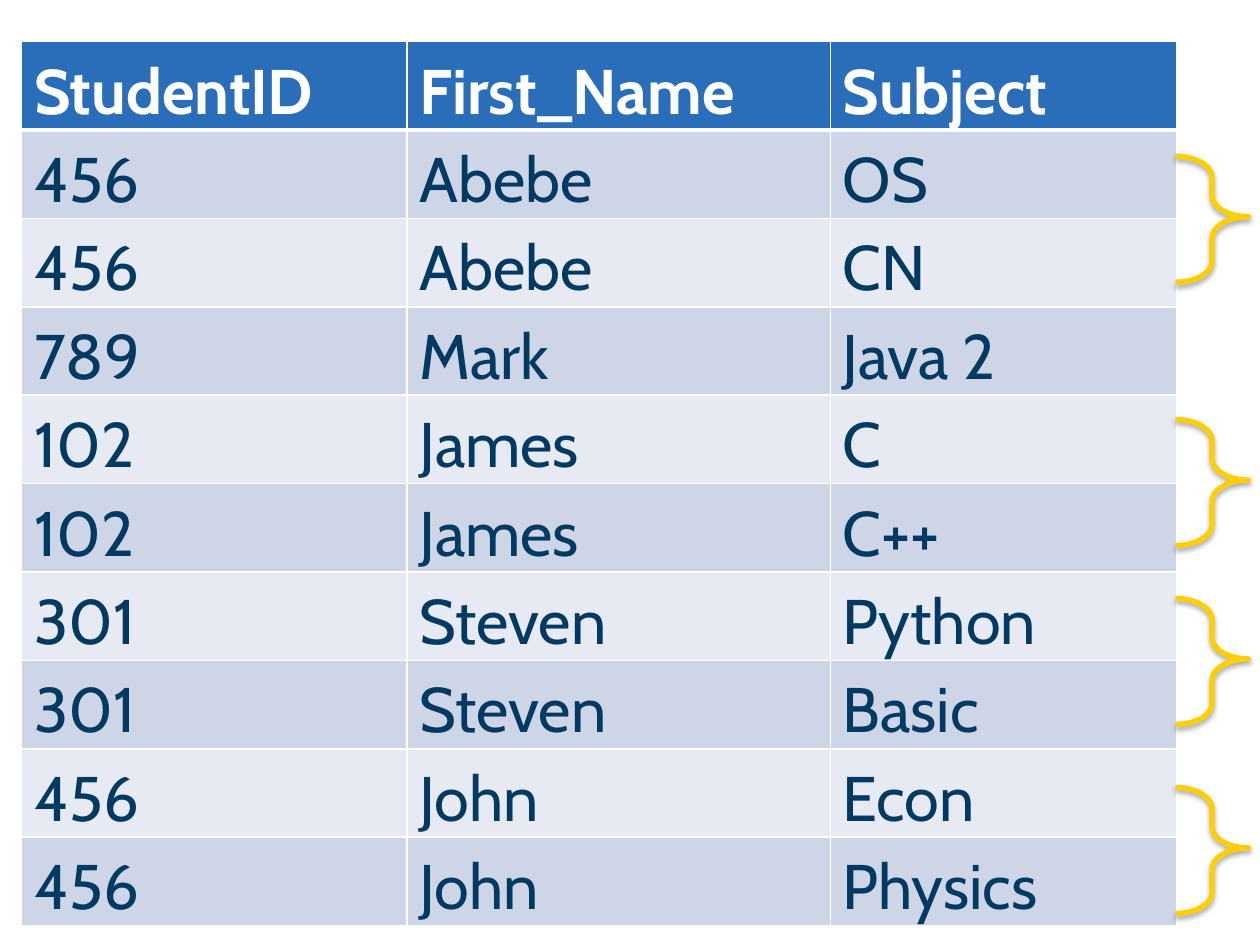
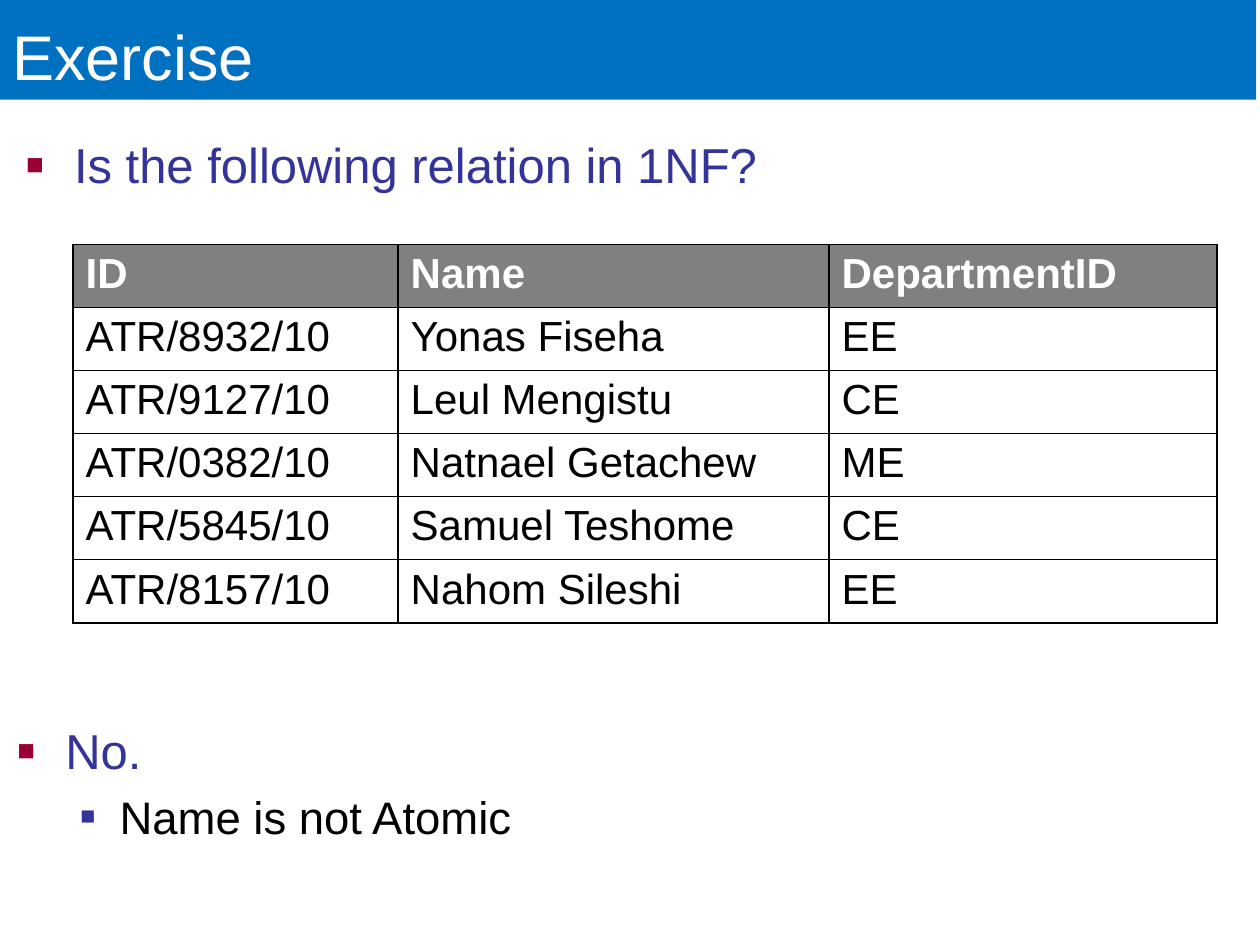
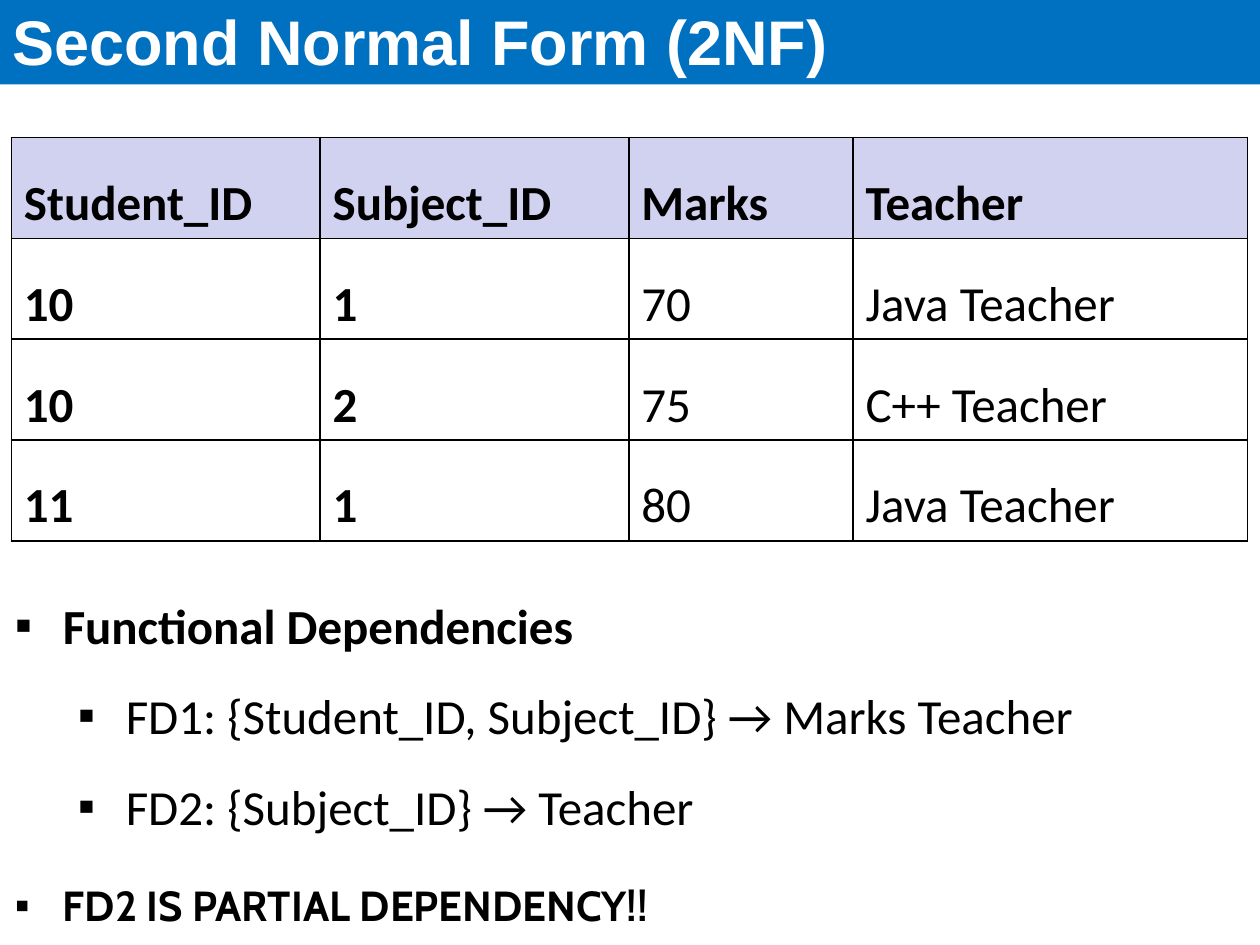
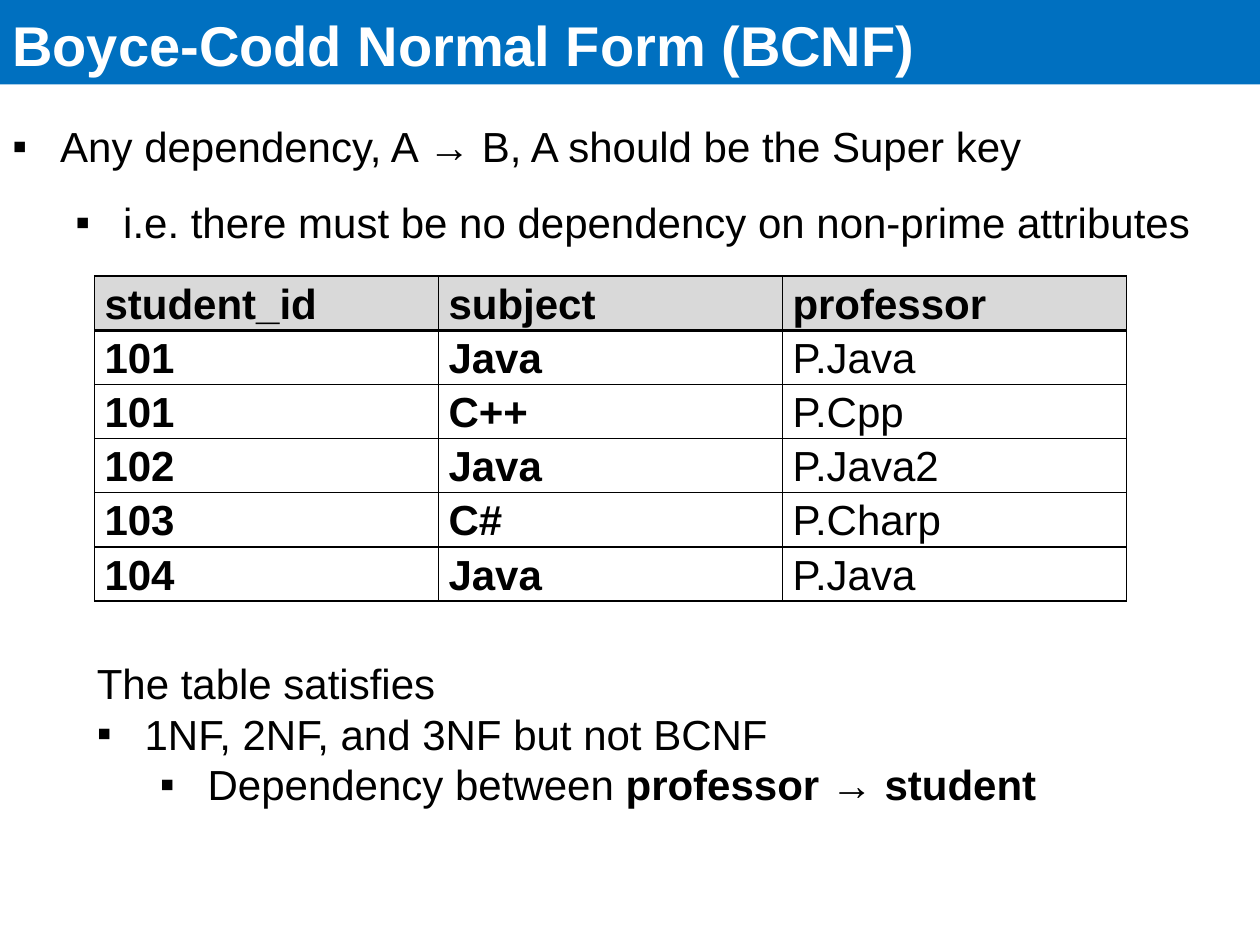
from dataclasses import dataclass

from lxml import etree
from pptx import Presentation
from pptx.dml.color import RGBColor
from pptx.enum.shapes import MSO_SHAPE
from pptx.enum.text import MSO_ANCHOR
from pptx.oxml import parse_xml
from pptx.oxml.ns import nsdecls, qn
from pptx.util import Inches, Pt

WHITE = RGBColor(0xFF, 0xFF, 0xFF)
BLACK = RGBColor(0x00, 0x00, 0x00)
BAND_BLUE = RGBColor(0x00, 0x70, 0xC0)
HEADER_BLUE = RGBColor(0x2A, 0x6E, 0xBA)
NAVY = RGBColor(0x00, 0x3A, 0x63)
STRIPE_DARK = RGBColor(0xCD, 0xD5, 0xE7)
STRIPE_LIGHT = RGBColor(0xE8, 0xEA, 0xF3)
YELLOW = RGBColor(0xFF, 0xCF, 0x01)
GRAY = RGBColor(0x80, 0x80, 0x80)
LIGHT_GRAY = RGBColor(0xD9, 0xD9, 0xD9)
LAVENDER = RGBColor(0xD1, 0xD1, 0xF0)
INDIGO = RGBColor(0x33, 0x33, 0x99)
CRIMSON = RGBColor(0x99, 0x00, 0x33)


@dataclass
class TableStyle:
    font: str
    size: int
    header_fill: RGBColor
    header_color: RGBColor = BLACK
    body_color: RGBColor = BLACK
    stripes: tuple = (None,)
    border: RGBColor = BLACK
    header_rule: float = 1
    key_columns: int = 0
    line_spacing: float = 1.0
    insets: tuple = (0.1, 0.05, 0.1, 0.05)
    anchor: MSO_ANCHOR = MSO_ANCHOR.TOP


@dataclass
class Bullet:
    char: str = "▪"
    color: RGBColor = BLACK
    percent: int = 100
    indent: float = 0.38
    hang: float = 0.38
    level: int = 0


ANSWER = Bullet("■", CRIMSON, 60)
REASON = Bullet("■", INDIGO, 55, 0.81, 0.31, 1)
POINT = Bullet()
SUBPOINT = Bullet(indent=0.88, level=1)


def set_font(paragraph, name, size, color, bold=False):
    font = paragraph.font
    font.name, font.size, font.bold = name, Pt(size), bold
    font.color.rgb = color


def set_insets(target, insets):
    (target.margin_left, target.margin_top,
     target.margin_right, target.margin_bottom) = map(Inches, insets)


def add_bullet(paragraph, bullet):
    paragraph.level = bullet.level
    properties = paragraph._p.get_or_add_pPr()
    properties.set("marL", str(Inches(bullet.indent)))
    properties.set("indent", str(-Inches(bullet.hang)))
    color = etree.SubElement(properties, qn("a:buClr"))
    etree.SubElement(color, qn("a:srgbClr"), val=str(bullet.color))
    etree.SubElement(properties, qn("a:buSzPct"), val=str(bullet.percent * 1000))
    etree.SubElement(properties, qn("a:buFont"), typeface="Arial")
    etree.SubElement(properties, qn("a:buChar"), char=bullet.char)


def add_title(slide, text, size=36, bold=True, width=10, height=0.67):
    band = slide.shapes.add_shape(MSO_SHAPE.RECTANGLE, 0, 0, Inches(width), Inches(height))
    band.shadow.inherit = False
    band.fill.solid()
    band.fill.fore_color.rgb = BAND_BLUE
    band.line.fill.background()
    frame = band.text_frame
    frame.word_wrap = True
    frame.vertical_anchor = MSO_ANCHOR.BOTTOM
    title = frame.paragraphs[0]
    title.text = text
    title.alignment = 1
    set_font(title, "Arial", size, WHITE, bold)


def add_text(slide, box, insets=(0.1, 0.05, 0.1, 0.05)):
    """Add an empty wrapping text box and return its frame."""
    frame = slide.shapes.add_textbox(*map(Inches, box)).text_frame
    frame.word_wrap = True
    set_insets(frame, insets)
    return frame


def add_line(frame, text, font, size, color=BLACK, bold=False, bullet=None,
             spacing=1.0, before=0, after=0):
    """Write the next paragraph of the frame, reusing its empty first one."""
    first = frame.paragraphs[0]
    line = frame.add_paragraph() if first.runs else first
    line.add_run().text = text
    line.line_spacing = spacing
    line.space_before, line.space_after = Pt(before), Pt(after)
    if bullet:
        add_bullet(line, bullet)
    set_font(line, font, size, color, bold)
    return line


def set_borders(cell, color, top, bottom):
    properties = cell._tc.get_or_add_tcPr()
    for side, width in (("L", 1), ("R", 1), ("T", top), ("B", bottom)):
        properties.append(parse_xml(
            f'<a:ln{side} {nsdecls("a")} w="{Pt(width)}"><a:solidFill>'
            f'<a:srgbClr val="{color}"/></a:solidFill></a:ln{side}>'))


def fill_cell(cell, text, row, column, style):
    header = row == 0
    set_borders(cell, style.border,
                top=style.header_rule if row == 1 else 1,
                bottom=style.header_rule if header else 1)
    fill = style.header_fill if header else style.stripes[(row - 1) % len(style.stripes)]
    if fill is None:
        cell.fill.background()
    else:
        cell.fill.solid()
        cell.fill.fore_color.rgb = fill
    set_insets(cell, style.insets)
    cell.vertical_anchor = style.anchor
    paragraph = cell.text_frame.paragraphs[0]
    paragraph.text = text
    paragraph.line_spacing = style.line_spacing
    set_font(paragraph, style.font, style.size,
             style.header_color if header else style.body_color,
             header or column < style.key_columns)


def add_grid(slide, left, top, widths, row_height, records, style):
    table = slide.shapes.add_table(
        len(records), len(widths), Inches(left), Inches(top),
        Inches(sum(widths)), Inches(row_height * len(records))).table
    table.first_row = table.horz_banding = False
    for column, width in zip(table.columns, widths):
        column.width = Inches(width)
    for r, record in enumerate(records):
        table.rows[r].height = Inches(row_height)
        for c, text in enumerate(record):
            fill_cell(table.cell(r, c), text, r, c, style)


def add_brace(slide, left, top):
    """Mark two rows that belong to the same student."""
    brace = slide.shapes.add_shape(MSO_SHAPE.RIGHT_BRACE, Inches(left), Inches(top),
                                   Inches(0.58), Inches(1))
    brace.adjustments[0], brace.adjustments[1] = 0.29, 0.48
    brace.fill.background()
    brace.line.color.rgb = YELLOW
    brace.line.width = Pt(3)
    brace.shadow.inherit = False
    effects = brace._element.spPr.find(qn("a:effectLst"))
    effects.append(parse_xml(
        f'<a:outerShdw {nsdecls("a")} blurRad="{Pt(3.1)}" dist="{Pt(1.8)}" dir="5400000" '
        'rotWithShape="0"><a:srgbClr val="000000"><a:alpha val="35000"/></a:srgbClr>'
        '</a:outerShdw>'))


def build_subjects(slide):
    records = [
        ("StudentID", "First_Name", "Subject"),
        ("456", "Abebe", "OS"),
        ("456", "Abebe", "CN"),
        ("789", "Mark", "Java 2"),
        ("102", "James", "C"),
        ("102", "James", "C++"),
        ("301", "Steven", "Python"),
        ("301", "Steven", "Basic"),
        ("456", "John", "Econ"),
        ("456", "John", "Physics"),
    ]
    style = TableStyle("Cabin", 36, HEADER_BLUE, WHITE, NAVY, (STRIPE_DARK, STRIPE_LIGHT),
                       border=WHITE, header_rule=3, line_spacing=1.07,
                       insets=(0.1, 0.05, 0.08, 0))
    add_grid(slide, 0.17, 0.33, (3.06, 3.36, 2.75), 0.7, records, style)
    for top in (1.24, 3.33, 4.75, 6.25):
        add_brace(slide, 9.33, top)


def build_exercise(slide):
    add_title(slide, "Exercise", bold=False, width=9.97, height=0.79)
    insets = (0.1, 0.05, 0, 0.05)
    question = add_text(slide, (0.11, 1.02, 9.89, 0.58), insets)
    add_line(question, "Is the following relation in 1NF?", "Arial", 28, INDIGO, bullet=ANSWER)
    records = [
        ("ID", "Name", "DepartmentID"),
        ("ATR/8932/10", "Yonas Fiseha", "EE"),
        ("ATR/9127/10", "Leul Mengistu", "CE"),
        ("ATR/0382/10", "Natnael Getachew", "ME"),
        ("ATR/5845/10", "Samuel Teshome", "CE"),
        ("ATR/8157/10", "Nahom Sileshi", "EE"),
    ]
    add_grid(slide, 0.58, 1.94, (2.58, 3.42, 3.08), 0.47, records,
             TableStyle("Arial", 24, GRAY, WHITE))
    answer = add_text(slide, (0.04, 5.67, 9.89, 1.32), insets)
    add_line(answer, "No.", "Arial", 28, INDIGO, bullet=ANSWER)
    add_line(answer, "Name is not Atomic", "Arial", 26, bullet=REASON, before=5.2)


def build_second_form(slide):
    add_title(slide, "Second Normal Form (2NF)")
    records = [
        ("Student_ID", "Subject_ID", "Marks", "Teacher"),
        ("10", "1", "70", "Java Teacher"),
        ("10", "2", "75", "C++ Teacher"),
        ("11", "1", "80", "Java Teacher"),
    ]
    add_grid(slide, 0.09, 1.09, (2.45, 2.45, 1.78, 3.13), 0.8, records,
             TableStyle("Calibri", 28, LAVENDER, key_columns=2, line_spacing=1.5))
    dependencies = add_text(slide, (0.02, 4.44, 10, 2.17))
    for text, bullet in (
        ("Functional Dependencies", POINT),
        ("FD1: {Student_ID, Subject_ID} → Marks Teacher", SUBPOINT),
        ("FD2: {Subject_ID} → Teacher", SUBPOINT),
    ):
        add_line(dependencies, text, "Calibri", 28, bold=bullet is POINT,
                 bullet=bullet, spacing=1.5, after=1.3)
    conclusion = add_text(slide, (0.02, 6.92, 10, 0.52))
    add_line(conclusion, "FD2 IS PARTIAL DEPENDENCY!!", "Cabin", 24, bold=True,
             bullet=POINT, spacing=1.03, after=1.3)


def build_boyce_codd(slide):
    add_title(slide, "Boyce-Codd Normal Form (BCNF)", size=32)
    rule = add_text(slide, (0, 0.71, 9.93, 1.24))
    add_line(rule, "Any dependency, A → B, A should be the Super key", "Arial", 24,
             bullet=POINT, spacing=1.5)
    add_line(rule, "i.e. there must be no dependency on non-prime attributes", "Arial", 24,
             bullet=SUBPOINT, spacing=1.5)
    records = [
        ("student_id", "subject", "professor"),
        ("101", "Java", "P.Java"),
        ("101", "C++", "P.Cpp"),
        ("102", "Java", "P.Java2"),
        ("103", "C#", "P.Charp"),
        ("104", "Java", "P.Java"),
    ]
    style = TableStyle("Arial", 24, LIGHT_GRAY, header_rule=2, key_columns=2,
                       line_spacing=1.07, insets=(0.08, 0, 0.08, 0),
                       anchor=MSO_ANCHOR.MIDDLE)
    add_grid(slide, 0.75, 2.19, (2.73,) * 3, 0.43, records, style)
    verdict = add_text(slide, (0.67, 5.17, 9, 1.31))
    add_line(verdict, "The table satisfies", "Arial", 24)
    add_line(verdict, "1NF, 2NF, and 3NF but not BCNF", "Arial", 24, bullet=POINT)
    culprit = add_line(verdict, "Dependency between ", "Arial", 24, bullet=SUBPOINT)
    dependency = culprit.add_run()
    dependency.text = "professor → student"
    dependency.font.bold = True


def main():
    deck = Presentation()
    deck.slide_width, deck.slide_height = Inches(10), Inches(7.5)
    blank = deck.slide_layouts[6]
    for build in (build_subjects, build_exercise, build_second_form, build_boyce_codd):
        build(deck.slides.add_slide(blank))
    deck.save("out.pptx")


if __name__ == "__main__":
    main()
